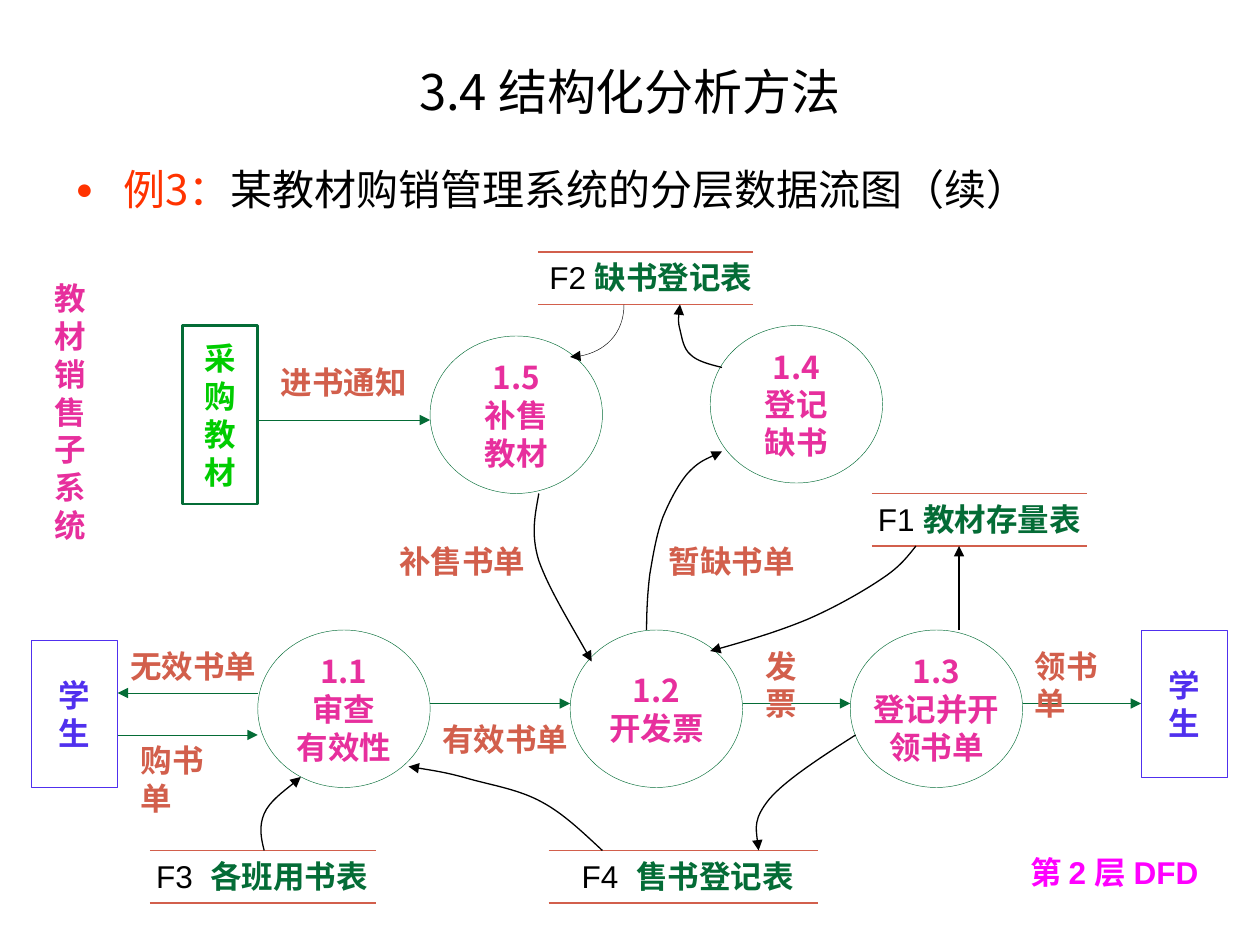
from lxml.etree import SubElement
from pptx import Presentation
from pptx.dml.color import RGBColor
from pptx.enum.shapes import MSO_CONNECTOR, MSO_SHAPE
from pptx.enum.text import MSO_ANCHOR, MSO_AUTO_SIZE, PP_ALIGN
from pptx.oxml.ns import qn
from pptx.util import Inches, Pt

SANS, SERIF, LATIN = "Noto Sans CJK SC", "Times New Roman", "Arial"
BLACK, WHITE, GREEN, PINK = "000000", "FFFFFF", "046C36", "E72F9D"
BRICK, BLUE, LIME, ORANGE = "D25F4C", "5030EE", "00CC00", "FF3300"


# Grid: columns count from the left margin, rows from the top edge
def column(number):
    return Inches(0.25 + 0.0855 * number)


def row(number):
    return Inches(number / 12)


def grid_box(left, top, columns, rows):
    return (column(left), row(top),
            column(left + columns) - column(left), row(rows))


def color(value):
    return RGBColor.from_string(value)


def format_run(run, font_name, value, size=18, bold=True):
    font = run.font
    font.name, font.size, font.bold = font_name, Pt(size), bold
    font.color.rgb = color(value)
    SubElement(run._r.get_or_add_rPr(), qn("a:ea")).set("typeface", SANS)


def write(shape, text, font_name, value, align=PP_ALIGN.CENTER,
          anchor=MSO_ANCHOR.MIDDLE, wrap=False):
    frame = shape.text_frame
    frame.text = text
    frame.word_wrap, frame.vertical_anchor = wrap, anchor
    for paragraph in frame.paragraphs:
        paragraph.alignment = align
        for run in paragraph.runs:
            format_run(run, font_name, value)


def style_line(shape, value, width, arrow):
    shape.line.color.rgb = color(value)
    shape.line.width = Pt(width)
    if arrow:
        SubElement(shape.line._get_or_add_ln(), qn("a:tailEnd")).set("type", "triangle")
    SubElement(shape._element.spPr, qn("a:effectLst"))


# Headings
def add_headings(slide, title_box, body_box):
    title, body = slide.shapes.title, slide.placeholders[1]
    for placeholder, box in ((title, title_box), (body, body_box)):
        placeholder.left, placeholder.top, placeholder.width, placeholder.height = box
        placeholder.text_frame.auto_size = MSO_AUTO_SIZE.NONE
    write(title, "3.4 结构化分析方法", SANS, BLACK, wrap=True)
    format_run(title.text_frame.paragraphs[0].runs[0], SANS, BLACK, 28, False)

    paragraph = body.text_frame.paragraphs[0]
    paragraph.space_before = Pt(6)
    for text, value in (("例3：", ORANGE),
                        ("某教材购销管理系统的分层数据流图（续）", BLACK)):
        run = paragraph.add_run()
        run.text = text
        format_run(run, SANS, value, 24, False)
    properties = paragraph._p.get_or_add_pPr()
    properties.set("marL", str(Inches(0.38)))
    properties.set("indent", str(-Inches(0.38)))
    SubElement(SubElement(properties, qn("a:buClr")), qn("a:srgbClr")).set("val", ORANGE)
    SubElement(properties, qn("a:buSzPct")).set("val", "70000")
    SubElement(properties, qn("a:buChar")).set("char", "●")


# Nodes of the diagram
def add_node(slide, kind, box, text, font_name, text_color, line_color, width=0.25):
    shape = slide.shapes.add_shape(kind, *grid_box(*box))
    shape.fill.solid()
    shape.fill.fore_color.rgb = color(WHITE)
    style_line(shape, line_color, width, False)
    write(shape, text, font_name, text_color)


def add_process(slide, left, top, text):
    add_node(slide, MSO_SHAPE.OVAL, (left, top, 16, 15), text, SANS, PINK, GREEN)


def add_store(slide, left, right, top, text_left, text_right, code, name):
    for edge in (top, top + 5):
        add_flow(slide, (left, edge), (right, edge), BRICK, 0.75, False)
    box = slide.shapes.add_textbox(*grid_box(text_left, top, text_right - text_left, 4.8))
    write(box, code, LATIN, BLACK, anchor=MSO_ANCHOR.TOP, wrap=True)
    paragraph = box.text_frame.paragraphs[0]
    paragraph.runs[0].font.bold = False
    run = paragraph.add_run()
    run.text = name
    format_run(run, SANS, GREEN)


def add_label(slide, left, top, text, font_name=SERIF):
    box = slide.shapes.add_textbox(*grid_box(left, top, 14 * len(text) / 4, 4.8))
    write(box, text, font_name, BRICK, PP_ALIGN.LEFT, MSO_ANCHOR.TOP)


# Data flows
def add_flow(slide, start, end, value=GREEN, width=0.75, arrow=True):
    line = slide.shapes.add_connector(
        MSO_CONNECTOR.STRAIGHT, column(start[0]), row(start[1]), column(end[0]), row(end[1]))
    style_line(line, value, width, arrow)


def add_curve(slide, points, width=0.75):
    """Points hold a start, then two controls and an end for each arc."""
    places = [(column(x), row(y)) for x, y in points]
    builder = slide.shapes.build_freeform(*places[0])
    builder.add_line_segments(places[1:], close=False)
    shape = builder.convert_to_shape()
    shape.fill.background()
    style_line(shape, BLACK, width, True)
    outline = next(shape._element.iter(qn("a:path")[:-4] + "path"))
    segments = outline.findall(qn("a:lnTo"))
    for first in range(0, len(segments), 3):
        arc = SubElement(outline, qn("a:cubicBezTo"))
        for segment in segments[first:first + 3]:
            arc.append(segment[0])
            outline.remove(segment)


PROCESSES = [(76, 60, "1.3\n登记并开\n领书单"), (50, 60, "1.2\n开发票"),
             (21, 60, "1.1\n审查\n有效性"), (63, 31, "1.4\n登记\n缺书"),
             (37, 32, "1.5\n补售\n教材")]
STORES = [(78, 98, 47, 75, 101, "F1 ", "教材存量表"),
          (47, 67, 24, 43, 72, "F2 ", "缺书登记表"),
          (11, 32, 81, 6, 36, " F3  ", "各班用书表"),
          (48, 73, 81, 45, 76, " F4  ", "售书登记表")]
FLOWS = [((21, 66), (8, 66), GREEN, 0.25), ((8, 70), (21, 70), GREEN, 0.25),
         ((21, 40), (37, 40), GREEN, 0.25), ((37, 67), (50, 67)),
         ((66, 67), (76, 67)), ((92, 67), (103, 67)),
         ((86.1, 60), (86.1, 52), BLACK, 1)]
LABELS = [(8, 61, "无效书单"), (9, 70, "购书单"), (22, 34, "进书通知", SANS),
          (37, 68, "有效书单"), (67, 61, "发票"), (92, 61, "领书单"),
          (58, 51, "暂缺书单"), (33, 51, "补售书单")]
CURVES = [
    # 1.3 to F4
    [(76.5, 70), (73.3, 72.1), (70, 74.3), (68.5, 76.1), (67, 78), (67.3, 79.4), (67.5, 81)],
    # 1.4 to F2
    [(64.1, 35), (62.9, 34.7), (61.8, 34.4), (61.2, 33.8), (60.5, 33.2),
     (60.4, 32.2), (60.2, 31.4), (60, 30.6), (60.1, 29.8), (60.2, 29)],
    # 1.2 to 1.4
    [(57.1, 60), (57.1, 58.2), (57.2, 56.4), (57.4, 54.7), (57.7, 52.9), (58, 51),
     (58.6, 49.3), (59.2, 47.8), (60, 46.2), (60.9, 45.1), (61.9, 44), (62.9, 43.6), (64.1, 43)],
    # F3 to 1.1
    [(21.6, 81), (21.3, 79.8), (21.1, 78.7), (21.6, 77.5), (22.1, 76.3), (24.4, 74.6), (25, 74)],
    # F4 to 1.1
    [(53, 81), (51.2, 79.3), (49.4, 77.5), (47.4, 76.4), (45.3, 75.2),
     (42.8, 74.8), (40.7, 74.2), (38.7, 73.6), (36.8, 73.3), (35, 73)],
    # 1.5 to 1.2
    [(47.1, 47), (46.8, 48.8), (46.3, 50.8), (47.1, 53.4), (48, 56), (50.1, 59.5), (52, 63)],
    # F1 to 1.2
    [(82.1, 52), (81.4, 52.9), (80.7, 53.9), (79.1, 55), (77.4, 56.2),
     (74.7, 57.8), (72, 59), (69.4, 60.1), (66.2, 61.1), (63, 62)],
]


def add_diagram(slide):
    # Captions
    side = slide.shapes.add_textbox(*grid_box(1, 26, 7, 26.4))
    write(side, "教材销售子系统", SANS, PINK, PP_ALIGN.LEFT, MSO_ANCHOR.TOP, True)
    caption = slide.shapes.add_textbox(*grid_box(89, 80, 23, 6))
    write(caption, "第 2 层 DFD", LATIN, "FF00FF")
    # Processes, outside entities and stores
    for process in PROCESSES:
        add_process(slide, *process)
    add_node(slide, MSO_SHAPE.RECTANGLE, (14, 31, 7, 17), "采\n购\n教\n材",
             SERIF, LIME, GREEN, 1.5)
    for left, top in ((0, 61), (103, 60)):
        add_node(slide, MSO_SHAPE.RECTANGLE, (left, top, 8, 14), "学\n生", SERIF, BLUE, BLUE)
    for store in STORES:
        add_store(slide, *store)
    # Flows and their names
    for flow in FLOWS:
        add_flow(slide, *flow)
    for curve in CURVES:
        add_curve(slide, curve)
    add_curve(slide, [(55, 29), (55, 31.8), (52.75, 34), (50, 34)], 0.25)
    for label in LABELS:
        add_label(slide, *label)


def main():
    presentation = Presentation()
    presentation.slide_width, presentation.slide_height = Inches(10), Inches(7.5)
    slide = presentation.slides.add_slide(presentation.slide_layouts[1])
    add_headings(slide, (Inches(0.5), row(4), Inches(9), Inches(0.78)),
                 (Inches(0.5), row(15), Inches(9), row(67)))
    add_diagram(slide)
    presentation.save("out.pptx")


if __name__ == "__main__":
    main()
